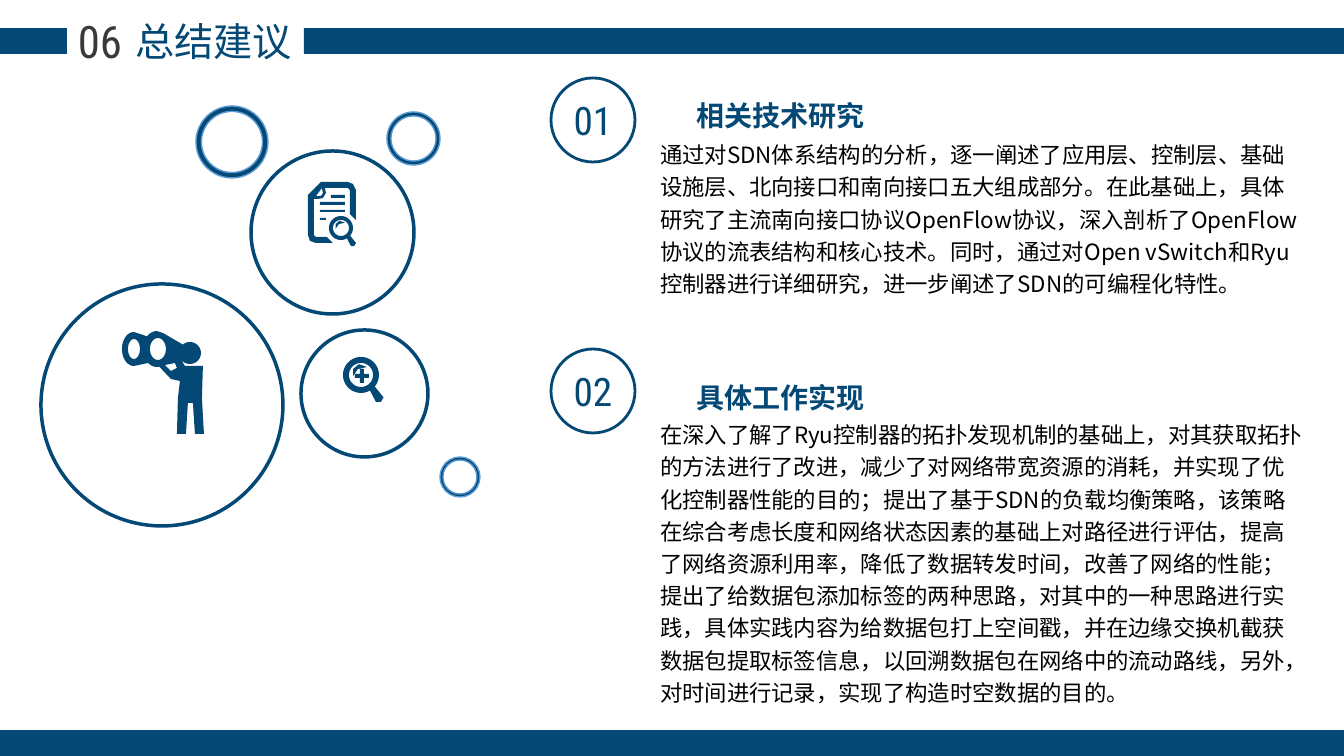
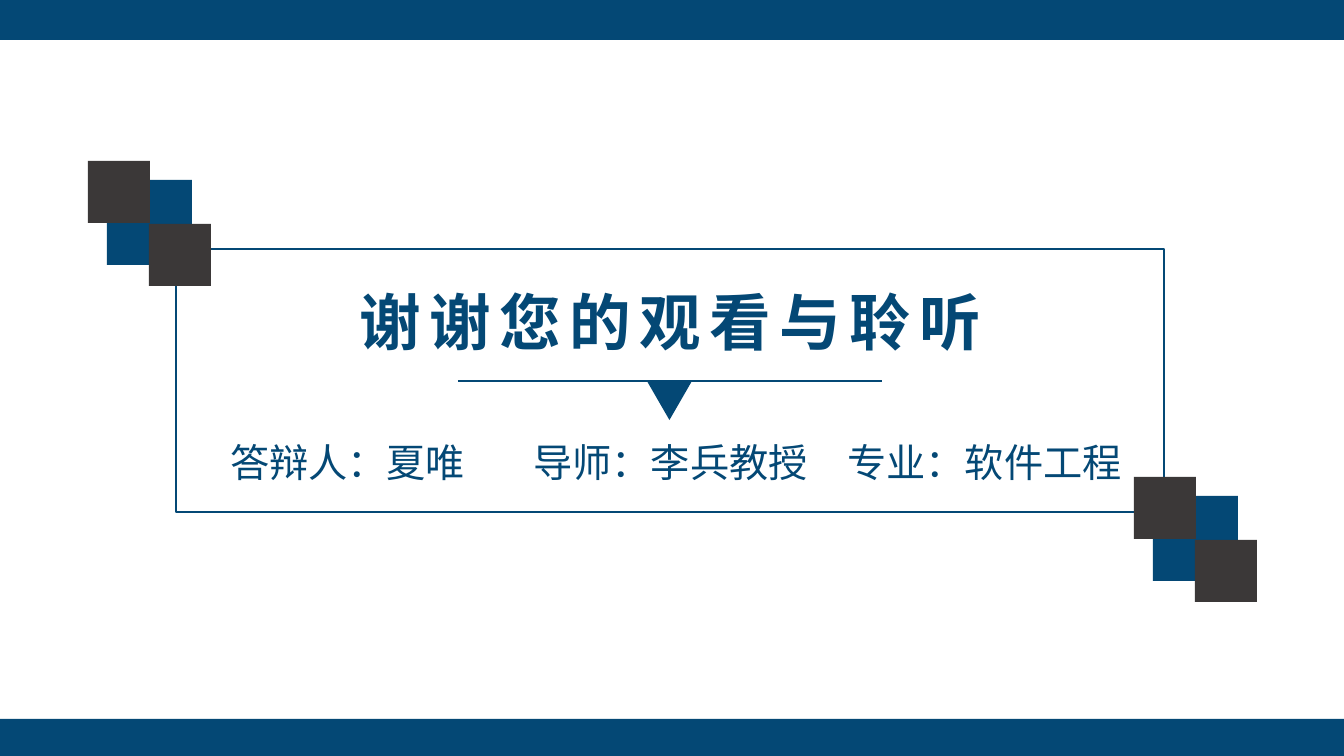
import math

import lxml.etree
import pptx
import pptx.dml.color
import pptx.enum.lang
import pptx.enum.shapes
import pptx.enum.text
import pptx.oxml.ns
import pptx.util

SCALE = 914400 / 100.8
WIDTH, HEIGHT = 1344, 756
COLORS = {"navy": "044875", "charcoal": "3B3838", "sky": "5B9BD5", "black": "000000"}
CHINESE, NUMERAL = "Noto Sans CJK SC", "Roboto Condensed"
SHAPES = pptx.enum.shapes.MSO_SHAPE
ALIGN = pptx.enum.text.PP_ALIGN
ANCHOR = pptx.enum.text.MSO_ANCHOR
TITLE_ONLY, COMPARISON = 5, 4


def emu(pixels):
    return pptx.util.Emu(round(pixels * SCALE))


def rgb(name):
    return pptx.dml.color.RGBColor.from_string(COLORS[name])


def apply_format(target, values):
    for name, value in values.items():
        setattr(target, name, value)


def arc(x, y, radius_x, radius_y, start=0, end=360):
    steps = max(2, round(abs(end - start) / 10))
    angles = [math.radians(start + (end - start) * step / steps) for step in range(steps + 1)]
    return [(x + radius_x * math.cos(angle), y + radius_y * math.sin(angle)) for angle in angles]


def bar(left, top, right, bottom):
    return [(left, top), (right, top), (right, bottom), (left, bottom)]


def magnifier(x, y, radius):
    handle = [(1.25, 1.25), (1.1, 1.5), (0.83, 1.5)]
    rim = arc(x, y, radius, radius, 60, 400) + [(x + radius * a, y + radius * b) for a, b in handle]
    lens = arc(x, y, radius * 0.67, radius * 0.67)
    glint = [(-0.44, 0.06), (-0.17, -0.33), (0.33, -0.44), (-0.11, -0.6), (-0.44, -0.33)]
    return [rim, lens, [(x + radius * a, y + radius * b) for a, b in glint]]


class Deck:
    def __init__(self):
        self.presentation = pptx.Presentation()
        self.presentation.slide_width = emu(WIDTH)
        self.presentation.slide_height = emu(HEIGHT)
        self.slide = None

    def new_slide(self, layout, title, box, size, footer_top, **style):
        self.slide = self.presentation.slides.add_slide(self.presentation.slide_layouts[layout])
        self.placeholder(0, title, box, size, align=ALIGN.CENTER, **style)
        self.shape(SHAPES.RECTANGLE, (0, footer_top, WIDTH, HEIGHT - footer_top), "navy")

    def set_text(self, shape, text, size, color="navy", font=CHINESE, bold=False,
                 align=ALIGN.LEFT, anchor=ANCHOR.TOP, leading=None, tracking=0):
        frame = shape.text_frame
        apply_format(frame, {"word_wrap": True, "vertical_anchor": anchor,
                             "auto_size": pptx.enum.text.MSO_AUTO_SIZE.NONE})
        paragraph = frame.paragraphs[0]
        apply_format(paragraph, {"alignment": align, "space_before": pptx.util.Pt(0),
                                 "line_spacing": pptx.util.Pt(leading) if leading else 1.0})
        run = paragraph.add_run()
        run.text = text
        apply_format(run.font, {"size": pptx.util.Pt(size), "bold": bold, "name": font,
                                "language_id": pptx.enum.lang.MSO_LANGUAGE_ID.SIMPLIFIED_CHINESE})
        run.font.color.rgb = rgb(color)
        properties = run.font._element
        properties.set("spc", str(tracking * 100))
        east_asian = lxml.etree.SubElement(properties, pptx.oxml.ns.qn("a:ea"))
        east_asian.set("typeface", font)
        return paragraph

    def placeholder(self, index, text, box, size, **style):
        shape = self.slide.placeholders[index]
        apply_format(shape, dict(zip(("left", "top", "width", "height"), map(emu, box))))
        paragraph = self.set_text(shape, text, size, **style)
        properties = paragraph._p.get_or_add_pPr()
        properties.set("marL", "0")
        properties.set("indent", "0")
        lxml.etree.SubElement(properties, pptx.oxml.ns.qn("a:buNone"))

    def text(self, text, box, size, **style):
        shape = self.slide.shapes.add_textbox(*map(emu, box))
        self.set_text(shape, text, size, **style)

    def paint(self, shape, fill=None, line=None, weight=1):
        shape.shadow.inherit = False
        if fill:
            shape.fill.solid()
            shape.fill.fore_color.rgb = rgb(fill)
        else:
            shape.fill.background()
        if line:
            shape.line.color.rgb = rgb(line)
            shape.line.width = pptx.util.Pt(weight)
        else:
            shape.line.fill.background()

    def shape(self, kind, box, fill=None, line=None, weight=1):
        shape = self.slide.shapes.add_shape(kind, *map(emu, box))
        self.paint(shape, fill, line, weight)
        return shape

    def ring(self, x, y, size):
        shape = self.shape(SHAPES.DONUT, (x, y, size, size), "navy", "sky")
        shape.adjustments[0] = 0.075

    def circle(self, x, y, size, weight):
        return self.shape(SHAPES.OVAL, (x, y, size, size), line="navy", weight=weight)

    def icon(self, contours):
        scaled = [[(emu(x), emu(y)) for x, y in contour] for contour in contours]
        builder = self.slide.shapes.build_freeform(*scaled[0][0], scale=1.0)
        builder.add_line_segments(scaled[0][1:], close=True)
        for contour in scaled[1:]:
            builder.move_to(*contour[0])
            builder.add_line_segments(contour[1:], close=True)
        self.paint(builder.convert_to_shape(), "navy")

    def line(self, start, end, weight):
        connector = self.slide.shapes.add_connector(
            pptx.enum.shapes.MSO_CONNECTOR.STRAIGHT, *map(emu, start + end))
        connector.line.color.rgb = rgb("navy")
        connector.line.width = pptx.util.Pt(weight)
        lxml.etree.SubElement(connector._element.spPr, pptx.oxml.ns.qn("a:effectLst"))

    def numbered_point(self, order, circle_top, heading, heading_top, body, body_top, body_height):
        badge = self.circle(551, circle_top, 84, 2)
        apply_format(badge.text_frame, dict.fromkeys(
            ("margin_left", "margin_right", "margin_top", "margin_bottom"), 0))
        self.set_text(badge, f"{order:02}", 28, font=NUMERAL,
                      align=ALIGN.CENTER, anchor=ANCHOR.MIDDLE)
        self.placeholder(order * 2 - 1, heading, (609, heading_top, 343, 44), 20,
                         bold=True, align=ALIGN.CENTER)
        self.placeholder(order * 2, body, (650, body_top, 667, body_height), 16,
                         color="black", leading=23)

    def corner_squares(self, x, y):
        for offset_x, offset_y, size, color in (
                (19, 19, 85, "navy"), (0, 0, 62, "charcoal"), (61, 63, 62, "charcoal")):
            self.shape(SHAPES.RECTANGLE, (x + offset_x, y + offset_y, size, size), color)


OBSERVER = [
    arc(157, 349, 14, 18, 270, 225) + arc(134, 349, 12, 17, 270, 90) + [(148, 363)]
    + arc(157, 349, 14, 18, 120, 80)
    + [(171, 379), (180, 381), (178, 398), (177, 434), (186, 434), (188, 403), (193, 403),
       (195, 434), (204, 434), (202, 398), (203, 366), (185, 366), (182, 361)]
    + arc(190, 353, 11, 11, 130, -130) + [(163, 333)],
    arc(158, 349, 8, 11),
    arc(134, 349, 6, 10),
    [(177, 368), (171, 371), (165, 365), (175, 363)],
]
DOCUMENT = [
    [(321, 182), (348, 182), (353, 184), (356, 190), (356, 220), (350, 214), (350, 190),
     (348, 188), (325, 188), (326, 193), (323, 198), (318, 199), (314, 199), (314, 235),
     (316, 237), (327, 237), (333, 243), (316, 243), (310, 241), (308, 235), (308, 195)],
    [(322, 188), (316, 196), (321, 196), (323, 193)],
    bar(331, 195, 345, 198), bar(320, 202, 345, 205),
    bar(320, 210, 345, 212), bar(320, 218, 326, 220),
    *magnifier(341, 228, 12),
]
PLUS = [(360, 369), (364, 369), (364, 374), (369, 374), (369, 378), (364, 378),
        (364, 383), (360, 383), (360, 378), (355, 378), (355, 374), (360, 374)]
ZOOM = [*magnifier(361, 375, 18), PLUS]

POINTS = [
    (1, 78, "相关技术研究", 93,
     "通过对SDN体系结构的分析，逐一阐述了应用层、控制层、基础设施层、北向接口和南向接口五大组成部分。"
     "在此基础上，具体研究了主流南向接口协议OpenFlow协议，深入剖析了OpenFlow协议的流表结构和核心技术。"
     "同时，通过对Open vSwitch和Ryu控制器进行详细研究，进一步阐述了SDN的可编程化特性。", 131, 200),
    (2, 349, "具体工作实现", 375,
     "在深入了解了Ryu控制器的拓扑发现机制的基础上，对其获取拓扑的方法进行了改进，减少了对网络带宽资源的消耗，"
     "并实现了优化控制器性能的目的；提出了基于SDN的负载均衡策略，该策略在综合考虑长度和网络状态因素的基础上"
     "对路径进行评估，提高了网络资源利用率，降低了数据转发时间，改善了网络的性能；提出了给数据包添加标签的两种思路，"
     "对其中的一种思路进行实践，具体实践内容为给数据包打上空间戳，并在边缘交换机截获数据包提取标签信息，"
     "以回溯数据包在网络中的流动路线，另外，对时间进行记录，实现了构造时空数据的目的。", 411, 310),
]


def build_summary(deck):
    deck.new_slide(COMPARISON, "总结建议", (32, 12, 363, 57), 28, 730)
    for left, right in ((0, 67), (304, WIDTH)):
        deck.shape(SHAPES.RECTANGLE, (left, 28, right - left, 26), "navy")
    deck.text("06", (60, 9, 80, 65), 32, color="charcoal", font=NUMERAL, align=ALIGN.CENTER)
    for ring in ((196, 106, 72), (387, 112, 53), (440, 457, 40)):
        deck.ring(*ring)
    for circle, icon in (((41, 284, 242), OBSERVER), ((251, 151, 163), DOCUMENT),
                         ((301, 330, 127), ZOOM)):
        deck.circle(*circle, 2.5)
        deck.icon(icon)
    for point in POINTS:
        deck.numbered_point(*point)


def build_thanks(deck):
    deck.new_slide(TITLE_ONLY, "谢谢您的观看与聆听", (220, 279, 901, 85), 44, 719,
                   bold=True, tracking=6)
    deck.shape(SHAPES.RECTANGLE, (0, 0, WIDTH, 40), "navy")
    deck.line((458, 381), (882, 381), 2)
    deck.shape(SHAPES.FLOWCHART_MERGE, (647, 381, 45, 39), "navy")
    for label, left, width in (("答辩人：夏唯", 184, 327), ("导师：李兵教授", 507, 327),
                               ("专业：软件工程", 834, 301)):
        deck.text(label, (left, 433, width, 57), 28, align=ALIGN.CENTER)
    deck.shape(SHAPES.RECTANGLE, (176, 249, 988, 263), line="navy", weight=2)
    for corner in ((88, 161), (1134, 477)):
        deck.corner_squares(*corner)


def main():
    deck = Deck()
    build_summary(deck)
    build_thanks(deck)
    deck.presentation.save("out.pptx")


if __name__ == "__main__":
    main()
